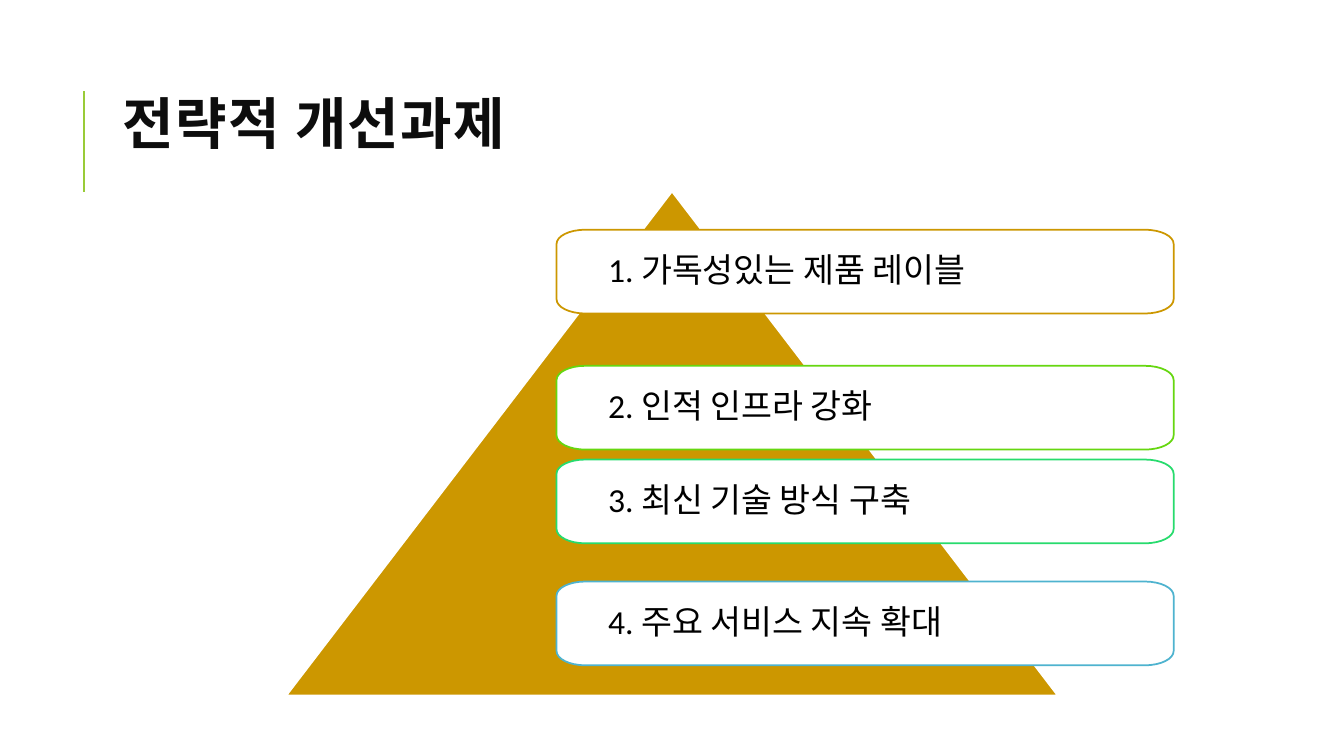
from lxml.etree import SubElement
from pptx import Presentation
from pptx.dml.color import RGBColor
from pptx.enum.shapes import MSO_CONNECTOR, MSO_SHAPE
from pptx.enum.text import MSO_ANCHOR, PP_ALIGN
from pptx.oxml.ns import qn
from pptx.util import Inches, Pt

TITLE = "전략적 개선과제"
TASKS = [
    ("1. 가독성있는 제품 레이블", 2.28, "gold"),
    ("2. 인적 인프라 강화", 3.63, "lime"),
    ("3. 최신 기술 방식 구축", 4.56, "green"),
    ("4. 주요 서비스 지속 확대", 5.77, "blue"),
]
COLORS = {"gold": "CC9700", "lime": "66D710", "green": "27DB6D", "blue": "4EB3CF",
          "accent": "99CB38", "title": "0D0D0D", "black": "000000", "white": "FFFFFF"}
FONT = "Calibri"
CARD_LEFT, CARD_W, CARD_H = 5.52, 6.12, 0.83
CORNER_W, CORNER_H = 0.28, 0.14
ROUNDNESS = 0.55
INSET = 0.12


def rgb(name):
    return RGBColor.from_string(COLORS[name])


def style(sp, fill, line):
    sp.shadow.inherit = False
    sp.fill.solid()
    sp.fill.fore_color.rgb = rgb(fill)
    sp.line.color.rgb = rgb(line)
    sp.line.width = Pt(1.25)


def write(sp, text, size, color, spacing, bold=False):
    tf = sp.text_frame
    tf.word_wrap = True
    tf.vertical_anchor = MSO_ANCHOR.MIDDLE
    p = tf.paragraphs[0]
    p.alignment = PP_ALIGN.LEFT
    p.line_spacing = spacing
    r = p.add_run()
    r.text = text
    r.font.name = FONT
    r.font.size = Pt(size)
    r.font.bold = bold
    r.font.color.rgb = rgb(color)
    SubElement(r.font._element, qn("a:ea"), typeface=FONT)
    return tf, p, r


def round_corners(sp, corners):
    path = sp._element.spPr.find(".//" + qn("a:path"))
    points = [[int(pt.get(k)) for k in ("x", "y")] for pt in path.iter(qn("a:pt"))]
    segments = path.findall(qn("a:lnTo"))
    for i, corner in enumerate(corners):
        start, end = points[2 * i], points[2 * i + 1]
        curve = path.makeelement(qn("a:cubicBezTo"))
        controls = [[round(a + ROUNDNESS * (c - a)) for a, c in zip(point, corner)]
                    for point in (start, end)]
        for x, y in controls + [end]:
            SubElement(curve, qn("a:pt"), x=str(x), y=str(y))
        path.replace(segments[2 * i], curve)


def add_card(s, text, top, color):
    right, bottom = CARD_LEFT + CARD_W, top + CARD_H
    x1, x2 = CARD_LEFT + CORNER_W, right - CORNER_W
    y1, y2 = top + CORNER_H, bottom - CORNER_H
    points = [(Inches(x), Inches(y)) for x, y in [
        (CARD_LEFT, y1), (x1, top), (x2, top), (right, y1),
        (right, y2), (x2, bottom), (x1, bottom), (CARD_LEFT, y2)]]
    builder = s.shapes.build_freeform(*points[0])
    builder.add_line_segments(points[1:], close=True)
    sp = builder.convert_to_shape()
    w, h = sp.width, sp.height
    round_corners(sp, [(0, 0), (w, 0), (w, h), (0, h)])
    style(sp, "white", color)
    tf, p, r = write(sp, text, 24, "black", 0.9)
    tf.margin_left = tf.margin_right = tf.margin_top = tf.margin_bottom = Inches(INSET)
    p._p.get_or_add_pPr().set("marL", str(Inches(0.39)))


prs = Presentation()
prs.slide_width, prs.slide_height = Inches(13.33), Inches(7.5)
s = prs.slides.add_slide(prs.slide_layouts[6])

rule = s.shapes.add_connector(MSO_CONNECTOR.STRAIGHT, Inches(0.83), Inches(1.9),
                              Inches(0.83), Inches(0.9))
rule.line.color.rgb = rgb("accent")
rule.line.width = Pt(1.5)
SubElement(rule._element.spPr, qn("a:effectLst"))

title = s.shapes.add_textbox(Inches(1.12), Inches(0.64), Inches(11.09), Inches(1.26))
tf, p, r = write(title, TITLE, 40, "title", 0.8, bold=True)
r.font._element.set("spc", "100")

pyramid = s.shapes.add_shape(MSO_SHAPE.ISOSCELES_TRIANGLE, Inches(2.84), Inches(1.9),
                             Inches(7.65), Inches(5))
style(pyramid, "gold", "white")

for text, top, color in TASKS:
    add_card(s, text, top, color)

prs.save("out.pptx")
